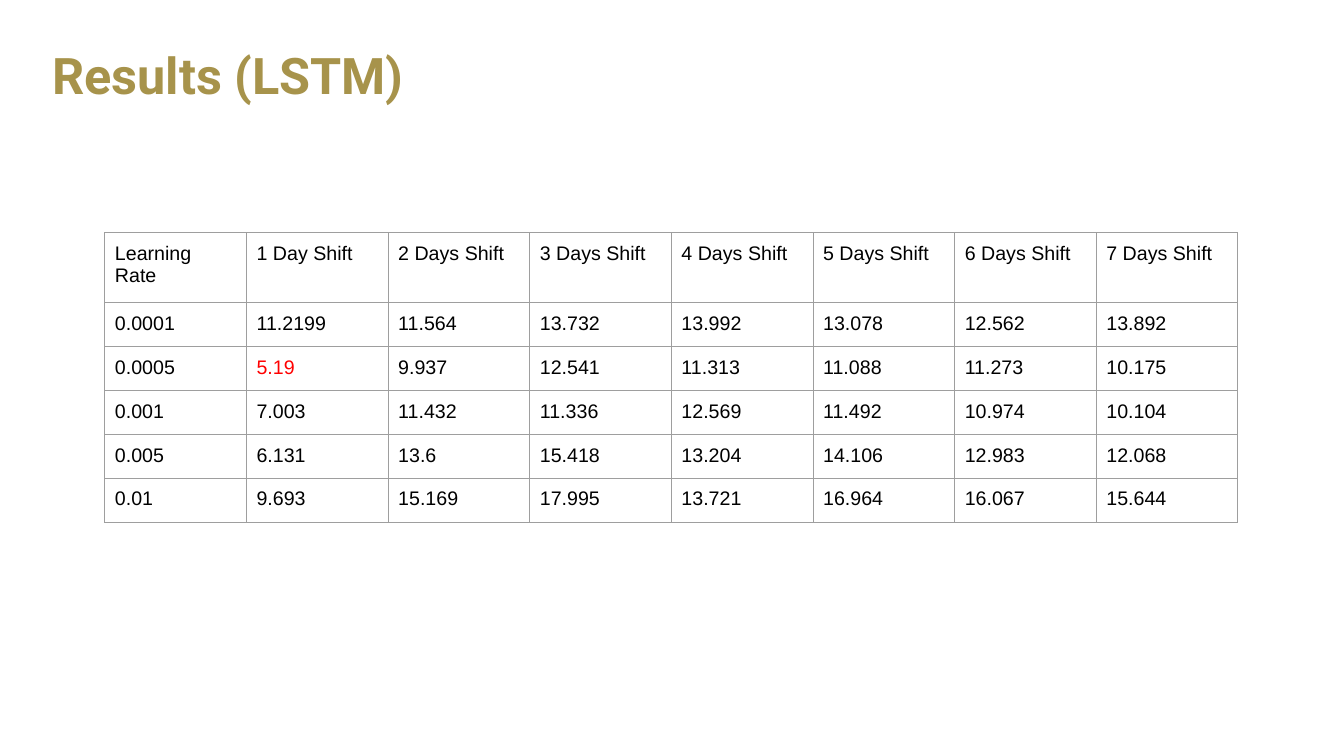
from dataclasses import dataclass

from lxml import etree
from pptx import Presentation
from pptx.dml.color import RGBColor
from pptx.enum.text import MSO_ANCHOR
from pptx.oxml.ns import qn
from pptx.slide import Slide
from pptx.table import _Cell
from pptx.text.text import _Run
from pptx.util import Inches, Pt

MIDDLE = MSO_ANCHOR.MIDDLE
TOP = MSO_ANCHOR.TOP

GOLD = "A7934B"
BLACK = "000000"
RED = "FF0000"
GREY = "9E9E9E"

TABLE_WIDTH = 11.24
TABLE_HEIGHT = 2.87
HEADER_HEIGHT = 0.69
CELL_INSET = Inches(0.1)


@dataclass(frozen=True)
class RateResult:
    learning_rate: str
    errors: tuple[str, ...]


RESULTS = (
    RateResult("0.0001", ("11.2199", "11.564", "13.732", "13.992", "13.078", "12.562", "13.892")),
    RateResult("0.0005", ("5.19", "9.937", "12.541", "11.313", "11.088", "11.273", "10.175")),
    RateResult("0.001", ("7.003", "11.432", "11.336", "12.569", "11.492", "10.974", "10.104")),
    RateResult("0.005", ("6.131", "13.6", "15.418", "13.204", "14.106", "12.983", "12.068")),
    RateResult("0.01", ("9.693", "15.169", "17.995", "13.721", "16.964", "16.067", "15.644")),
)
BEST_ERROR = min((error for result in RESULTS for error in result.errors), key=float)


def rgb(value: str) -> RGBColor:
    return RGBColor.from_string(value)


def style_run(run: _Run, font: str, size: float, color: str, bold: bool = False) -> None:
    run.font.name = font
    run.font.size = Pt(size)
    run.font.color.rgb = rgb(color)
    run.font.bold = bold


def add_title(slide: Slide, text: str) -> None:
    title = slide.shapes.add_textbox(Inches(0.42), Inches(0.22), Inches(12.5), Inches(1.11))
    frame = title.text_frame
    frame.word_wrap = True
    frame.vertical_anchor = MIDDLE
    frame.text = text
    heading = frame.paragraphs[0]
    heading.line_spacing = 0.9
    style_run(heading.runs[0], "Roboto", 36, GOLD, bold=True)


def add_borders(cell: _Cell) -> None:
    properties = cell._tc.get_or_add_tcPr()
    for position, side in enumerate(("a:lnL", "a:lnR", "a:lnT", "a:lnB")):
        border = etree.Element(qn(side), w=str(Pt(0.75)))
        fill = etree.SubElement(border, qn("a:solidFill"))
        etree.SubElement(fill, qn("a:srgbClr"), val=GREY)
        properties.insert(position, border)


def fill_cell(cell: _Cell, text: str) -> None:
    cell.text_frame.text = text
    cell.vertical_anchor = TOP
    cell.margin_left = cell.margin_right = CELL_INSET
    cell.margin_top = cell.margin_bottom = CELL_INSET
    cell.fill.background()
    add_borders(cell)
    color = RED if text == BEST_ERROR else BLACK
    style_run(cell.text_frame.paragraphs[0].runs[0], "Arial", 14, color)


def add_results(slide: Slide) -> None:
    shifts = [f"{day} Day{'s' if day > 1 else ''} Shift" for day in range(1, 8)]
    rows = [("Learning Rate", *shifts)]
    rows += [(result.learning_rate, *result.errors) for result in RESULTS]
    results = slide.shapes.add_table(
        len(rows), len(rows[0]),
        Inches(1.04), Inches(2.31), Inches(TABLE_WIDTH), Inches(TABLE_HEIGHT),
    ).table
    results.first_row = False
    results.horz_banding = False
    for column in results.columns:
        column.width = Inches(TABLE_WIDTH / len(rows[0]))
    for row in results.rows:
        row.height = Inches((TABLE_HEIGHT - HEADER_HEIGHT) / len(RESULTS))
    results.rows[0].height = Inches(HEADER_HEIGHT)
    for row, texts in zip(results.rows, rows):
        for cell, text in zip(row.cells, texts):
            fill_cell(cell, text)


def main() -> None:
    deck = Presentation()
    deck.slide_width = Inches(13.33)
    deck.slide_height = Inches(7.5)
    slide = deck.slides.add_slide(deck.slide_layouts[6])
    add_title(slide, "Results (LSTM)")
    add_results(slide)
    deck.save("out.pptx")


if __name__ == "__main__":
    main()
